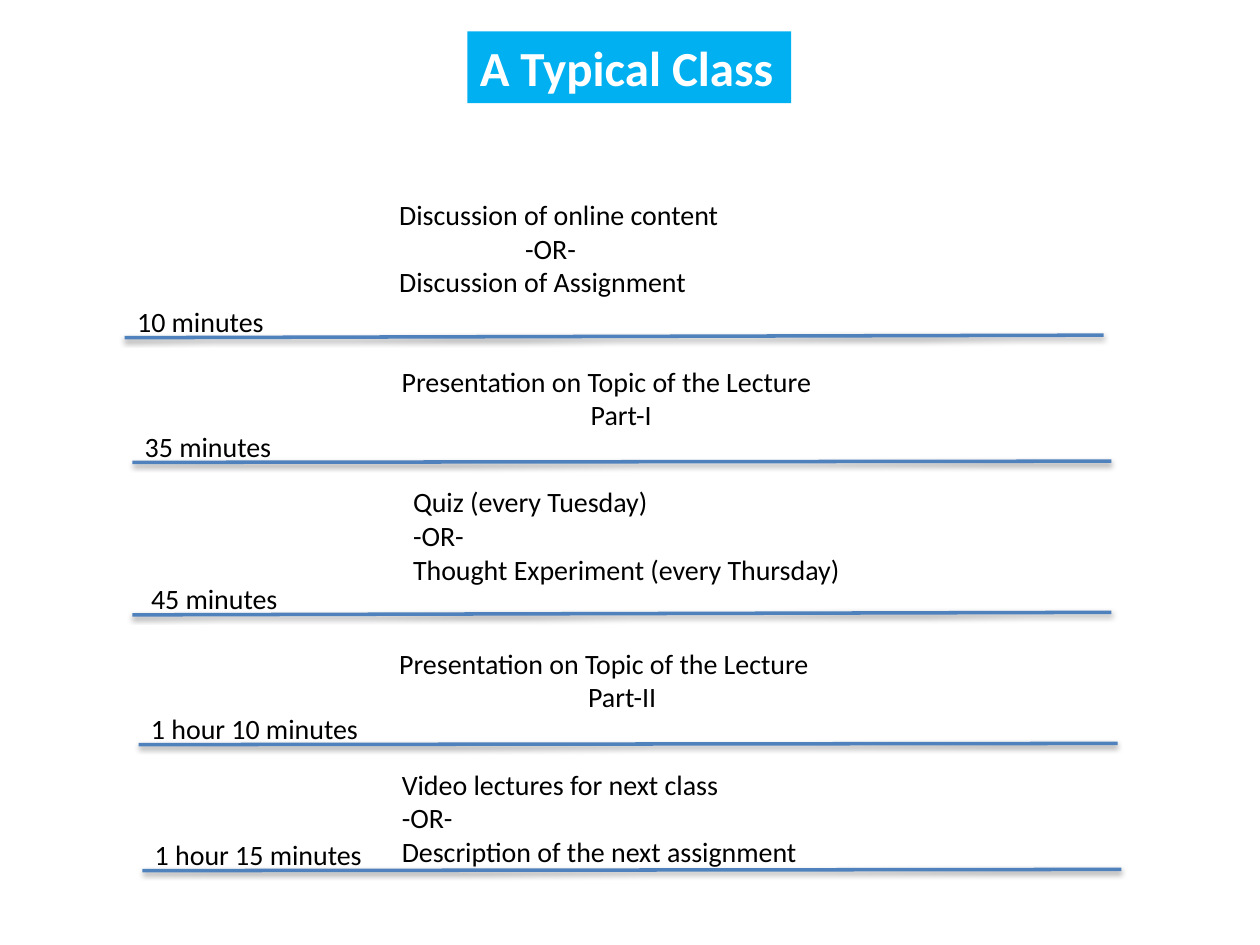
from dataclasses import dataclass

from lxml.etree import SubElement
from pptx import Presentation
from pptx.dml.color import RGBColor
from pptx.enum.shapes import MSO_CONNECTOR, MSO_SHAPE
from pptx.enum.text import MSO_AUTO_SIZE, PP_ALIGN
from pptx.oxml.ns import qn
from pptx.util import Pt

PX = 9144  # EMU per px, 100 px to the inch
HALF_INCH = 50 * PX
FONT = "Calibri"
BLACK, WHITE, BLUE, CYAN = "000000", "FFFFFF", "4F81BD", "00B0F0"
RULE_LENGTH = 777


@dataclass
class Box:
    x: int
    y: int
    w: int
    h: int
    lines: tuple[str, ...]
    wrap: bool = False


@dataclass
class Stage:
    activity: Box
    time: Box
    rule_start: tuple[int, int]
    rule_rise: int = 1


STAGES = [
    Stage(Box(307, 152, 293, 100, ("Discussion of online content", "\t\t-OR-",
                                   "Discussion of Assignment")),
          Box(99, 237, 122, 37, ("10 minutes",)), (99, 268), 2),
    Stage(Box(309, 284, 373, 71, ("Presentation on Topic of the Lecture", "\t\t\tPart-I")),
          Box(105, 336, 129, 41, ("35 minutes",)), (105, 367)),
    Stage(Box(318, 380, 386, 91, ("Quiz (every Tuesday)", "-OR-",
                                  "Thought Experiment (every Thursday)"), wrap=True),
          Box(110, 457, 122, 37, ("45 minutes",)), (105, 488), 2),
    Stage(Box(307, 508, 373, 71, ("Presentation on Topic of the Lecture", "\t\t\tPart-II")),
          Box(110, 560, 187, 37, ("1 hour 10 minutes",)), (110, 591)),
    Stage(Box(309, 604, 338, 91, ("Video lectures for next class", "-OR-",
                                  "Description of the next assignment")),
          Box(113, 660, 187, 37, ("1 hour 15 minutes",)), (113, 691)),
]
TITLE = Box(371, 25, 257, 57, ("A Typical Class",))


def rgb(color: str) -> RGBColor:
    return RGBColor.from_string(color)


def place(box: Box) -> list[int]:
    return [v * PX for v in (box.x, box.y, box.w, box.h)]


def write(sp, box: Box, size: int, color: str, bold: bool = False) -> None:
    tf = sp.text_frame
    tf.word_wrap = box.wrap
    tf.auto_size = MSO_AUTO_SIZE.SHAPE_TO_FIT_TEXT
    for i, line in enumerate(box.lines):
        p = tf.add_paragraph() if i else tf.paragraphs[0]
        p.alignment = PP_ALIGN.LEFT
        p._p.get_or_add_pPr().set("defTabSz", str(HALF_INCH))
        r = p.add_run()
        r.text = line
        r.font.name = FONT
        r.font.size = Pt(size)
        r.font.bold = bold
        r.font.color.rgb = rgb(color)


def add_text(s, box: Box) -> None:
    write(s.shapes.add_textbox(*place(box)), box, 16, BLACK)


def add_rule(s, start: tuple[int, int], rise: int) -> None:
    x, y = start
    line = s.shapes.add_connector(MSO_CONNECTOR.STRAIGHT, x * PX, y * PX,
                                  (x + RULE_LENGTH) * PX, (y - rise) * PX)
    line.line.color.rgb = rgb(BLUE)
    line.line.width = Pt(2)
    # Soft shadow straight below the line
    effects = SubElement(line._element.spPr, qn("a:effectLst"))
    shadow = SubElement(effects, qn("a:outerShdw"), blurRad=str(Pt(3.1)),
                        dist=str(Pt(1.6)), dir="5400000", rotWithShape="0")
    tint = SubElement(shadow, qn("a:srgbClr"), val=BLACK)
    SubElement(tint, qn("a:alpha"), val="38000")


def add_title(s, box: Box) -> None:
    sp = s.shapes.add_shape(MSO_SHAPE.RECTANGLE, *place(box))
    sp.shadow.inherit = False
    sp.fill.solid()
    sp.fill.fore_color.rgb = rgb(CYAN)
    sp.line.fill.background()
    write(sp, box, 28, WHITE, bold=True)


def main() -> None:
    prs = Presentation()
    prs.slide_width, prs.slide_height = 1000 * PX, 750 * PX
    s = prs.slides.add_slide(prs.slide_layouts[6])

    # Class timeline
    for stage in STAGES:
        add_text(s, stage.activity)
        add_rule(s, stage.rule_start, stage.rule_rise)
        add_text(s, stage.time)

    # Heading
    add_title(s, TITLE)
    prs.save("out.pptx")


if __name__ == "__main__":
    main()
